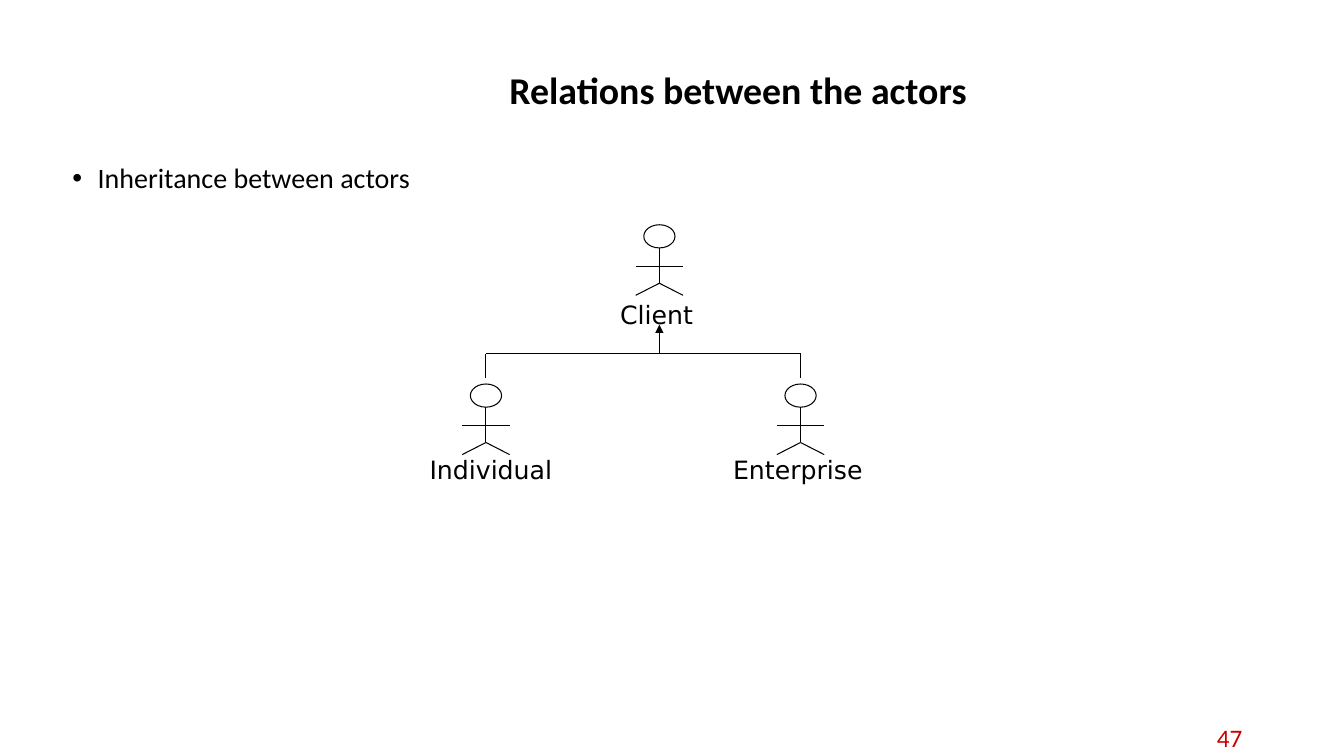
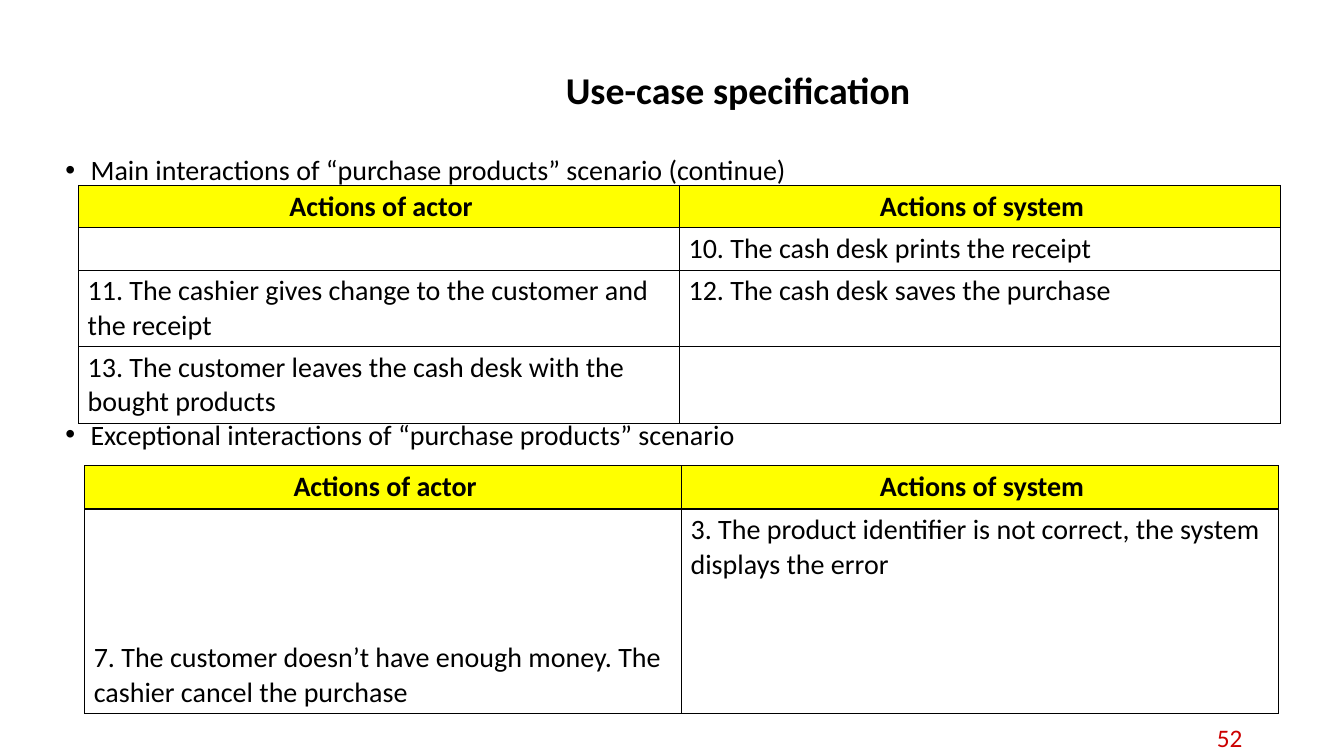
"""Build two slides on actors and use-case specification."""
from dataclasses import dataclass

from lxml.etree import SubElement
from pptx import Presentation
from pptx.dml.color import RGBColor
from pptx.enum.shapes import MSO_CONNECTOR, MSO_SHAPE
from pptx.enum.text import MSO_ANCHOR, PP_ALIGN
from pptx.oxml.ns import qn
from pptx.util import Inches, Pt

BLACK = "000000"
RED = "CC0000"
YELLOW = "FFFF00"
BODY_FONT = "Calibri"
DIAGRAM_FONT = "DejaVu Sans"
HEADINGS = ("Actions of actor", "Actions of system")


@dataclass
class Actor:
    name: str
    center: float
    top: float
    label_left: float
    label_top: float
    label_width: float


@dataclass
class Bullet:
    text: str
    space_before: float = 0


@dataclass
class ActionTable:
    left: float
    top: float
    column_width: float
    row_heights: tuple[float, ...]
    rows: tuple[tuple[str, str], ...]
    actor_anchor: MSO_ANCHOR = MSO_ANCHOR.TOP


CLIENT = Actor("Client", 6.54, 2.23, 6.1, 2.92, 0.83)
INDIVIDUAL = Actor("Individual", 4.82, 3.81, 4.21, 4.46, 1.35)
ENTERPRISE = Actor("Enterprise", 7.94, 3.81, 7.22, 4.46, 1.39)

MAIN_ACTIONS = ActionTable(
    0.78, 1.84, 5.96, (0.42, 0.42, 0.76, 0.76),
    (
        ("", "10. The cash desk prints the receipt"),
        ("11. The cashier gives change to the customer and the receipt",
         "12. The cash desk saves the purchase"),
        ("13. The customer leaves the cash desk with the bought products", ""),
    ),
)
EXCEPTIONAL_ACTIONS = ActionTable(
    0.84, 4.62, 5.92, (0.43, 2.03),
    (
        ("7. The customer doesn’t have enough money. The cashier cancel the purchase",
         "3. The product identifier is not correct, the system displays the error"),
    ),
    MSO_ANCHOR.BOTTOM,
)


def color(value: str) -> RGBColor:
    return RGBColor.from_string(value)


def add_span(para, text: str, size: float, font: str = BODY_FONT,
             ink: str = BLACK, bold: bool = False) -> None:
    span = para.add_run()
    span.text = text
    span.font.name = font
    span.font.size = Pt(size)
    span.font.bold = bold
    span.font.color.rgb = color(ink)


def add_box(page, left: float, top: float, width: float, height: float,
            anchor: MSO_ANCHOR = MSO_ANCHOR.TOP):
    box = page.shapes.add_textbox(Inches(left), Inches(top), Inches(width), Inches(height))
    box.text_frame.word_wrap = True
    box.text_frame.vertical_anchor = anchor
    return box


def add_page(deck, title: str, number: str):
    page = deck.slides.add_slide(deck.slide_layouts[6])
    number_box = add_box(page, 9.42, 7.14, 3, 0.36, MSO_ANCHOR.MIDDLE)
    para = number_box.text_frame.paragraphs[0]
    para.alignment = PP_ALIGN.RIGHT
    add_span(para, number, 18, ink=RED)
    title_box = add_box(page, 2.23, 0.4, 10.18, 1.02, MSO_ANCHOR.MIDDLE)
    para = title_box.text_frame.paragraphs[0]
    para.alignment = PP_ALIGN.CENTER
    para.line_spacing = 0.9
    add_span(para, title, 27, bold=True)
    return page


def add_bullets(page, left: float, top: float, bullets: tuple[Bullet, ...]) -> None:
    frame = add_box(page, left, top, 11.8, 5.17).text_frame
    for index, bullet in enumerate(bullets):
        para = frame.add_paragraph() if index else frame.paragraphs[0]
        properties = para._p.get_or_add_pPr()
        properties.set("marL", str(Inches(0.25)))
        properties.set("indent", str(Inches(-0.25)))
        SubElement(properties, qn("a:buFont"), typeface="Arial")
        SubElement(properties, qn("a:buChar"), char="•")
        para.line_spacing = 0.9
        if bullet.space_before:
            para.space_before = Pt(bullet.space_before)
        add_span(para, bullet.text, 20)


def add_line(page, start: tuple[float, float], end: tuple[float, float],
             arrow: bool = False) -> None:
    line = page.shapes.add_connector(
        MSO_CONNECTOR.STRAIGHT, *(Inches(value) for value in (*start, *end)))
    line.line.color.rgb = color(BLACK)
    line.line.width = Pt(0.75)
    if arrow:
        SubElement(line.line._get_or_add_ln(), qn("a:tailEnd"), type="triangle")
    SubElement(line._element.spPr, qn("a:effectLst"))


def add_actor(page, actor: Actor) -> None:
    x, y = actor.center, actor.top
    head = page.shapes.add_shape(
        MSO_SHAPE.OVAL, Inches(x - 0.155), Inches(y), Inches(0.31), Inches(0.23))
    head.shadow.inherit = False
    head.fill.background()
    head.line.color.rgb = color(BLACK)
    head.line.width = Pt(0.75)
    hip = (x, y + 0.58)
    add_line(page, (x, y + 0.23), hip)
    for side in (-0.235, 0.235):
        add_line(page, hip, (x + side, y + 0.7))
    add_line(page, (x - 0.235, y + 0.41), (x + 0.235, y + 0.41))
    box = add_box(page, actor.label_left, actor.label_top, actor.label_width, 0.4)
    frame = box.text_frame
    frame.word_wrap = False
    frame.margin_left = frame.margin_right = Inches(0.05)
    frame.margin_top = frame.margin_bottom = Inches(0.05)
    add_span(frame.paragraphs[0], actor.name, 18, DIAGRAM_FONT)


def add_inheritance(page, parent: Actor, children: tuple[Actor, ...]) -> None:
    bus = 3.51
    add_line(page, (children[0].center, bus), (children[-1].center, bus))
    for child in children:
        add_line(page, (child.center, bus), (child.center, child.top - 0.06))
    add_line(page, (parent.center, bus), (parent.center, 3.22), arrow=True)


def add_borders(cell) -> None:
    properties = cell._tc.get_or_add_tcPr()
    for side in ("lnL", "lnR", "lnT", "lnB"):
        border = SubElement(properties, qn(f"a:{side}"), w=str(Pt(1)))
        fill = SubElement(border, qn("a:solidFill"))
        SubElement(fill, qn("a:srgbClr"), val=BLACK)


def add_action_table(page, actions: ActionTable) -> None:
    rows = (HEADINGS, *actions.rows)
    table = page.shapes.add_table(
        len(rows), 2, Inches(actions.left), Inches(actions.top),
        Inches(2 * actions.column_width), Inches(sum(actions.row_heights))).table
    table.horz_banding = False
    for column in table.columns:
        column.width = Inches(actions.column_width)
    for row_index, texts in enumerate(rows):
        table.rows[row_index].height = Inches(actions.row_heights[row_index])
        heading = row_index == 0
        for column_index, text in enumerate(texts):
            cell = table.cell(row_index, column_index)
            add_borders(cell)
            cell.margin_left, cell.margin_right = Inches(0.09), Inches(0.05)
            cell.margin_top = cell.margin_bottom = Inches(0.04)
            if heading:
                cell.fill.solid()
                cell.fill.fore_color.rgb = color(YELLOW)
            else:
                cell.fill.background()
                if column_index == 0:
                    cell.vertical_anchor = actions.actor_anchor
            if text:
                para = cell.text_frame.paragraphs[0]
                para.alignment = PP_ALIGN.CENTER if heading else PP_ALIGN.LEFT
                add_span(para, text, 20, bold=heading)


def build_relations(deck) -> None:
    page = add_page(deck, "Relations between the actors", "47")
    add_bullets(page, 0.62, 1.58, (Bullet("Inheritance between actors"),))
    for actor in (CLIENT, INDIVIDUAL, ENTERPRISE):
        add_actor(page, actor)
    add_inheritance(page, CLIENT, (INDIVIDUAL, ENTERPRISE))


def build_specification(deck) -> None:
    page = add_page(deck, "Use-case specification", "52")
    add_bullets(page, 0.55, 1.5, (
        Bullet("Main interactions of “purchase products” scenario (continue)"),
        Bullet("Exceptional interactions of “purchase products” scenario", 167.5),
    ))
    for actions in (MAIN_ACTIONS, EXCEPTIONAL_ACTIONS):
        add_action_table(page, actions)


def main() -> None:
    deck = Presentation()
    deck.slide_width, deck.slide_height = Inches(13.33), Inches(7.5)
    build_relations(deck)
    build_specification(deck)
    deck.save("out.pptx")


if __name__ == "__main__":
    main()
